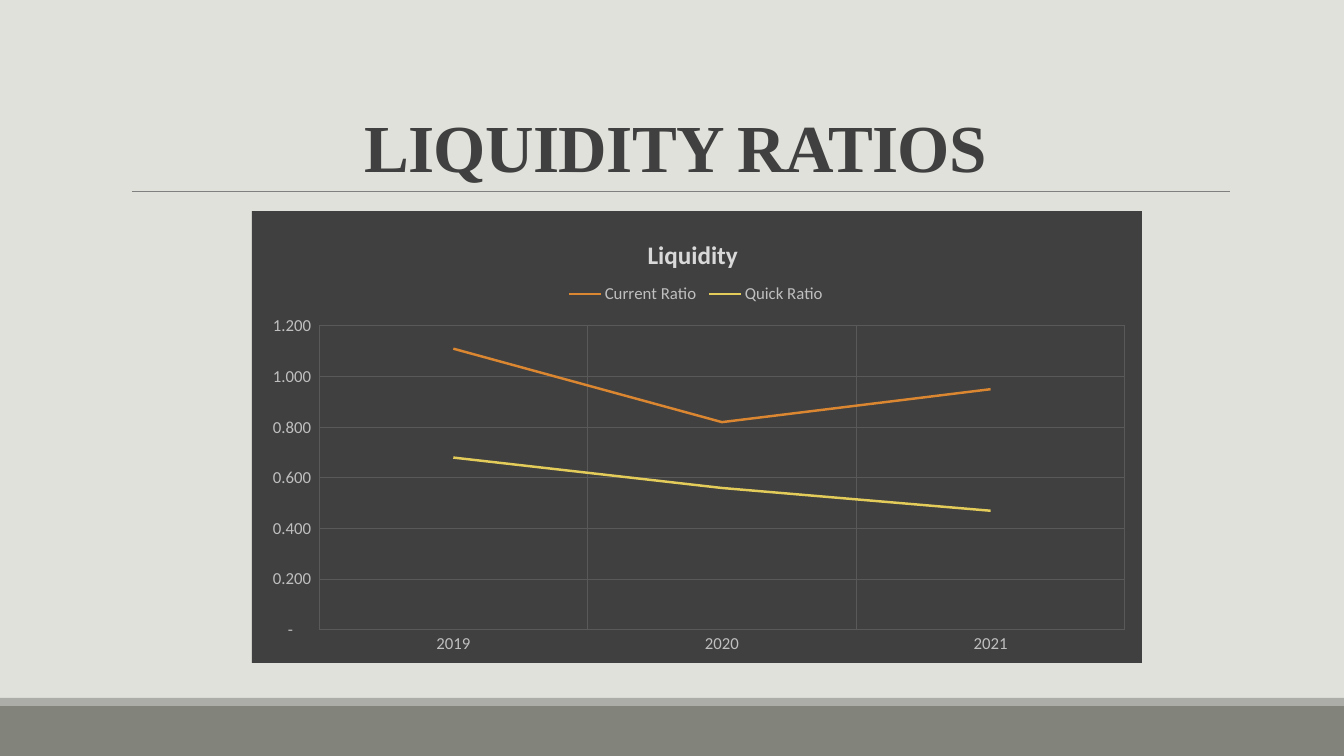
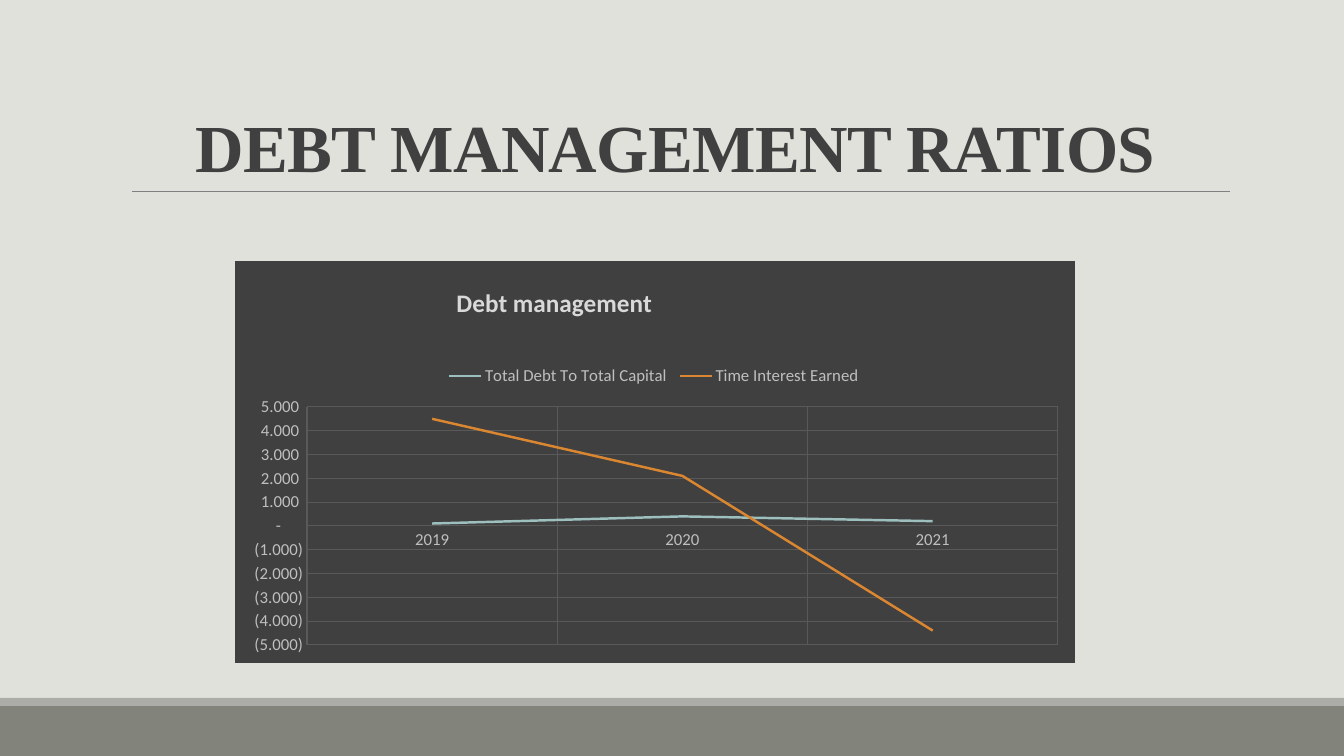
import pptx
import pptx.chart.data
import pptx.dml.color
import pptx.enum.chart
import pptx.enum.shapes
import pptx.enum.text
import pptx.oxml
import pptx.oxml.ns
import pptx.util

SCALE = 12192000 / 1344
HUES = {
    "back": "E1E1DB", "band": "82847C", "strip": "ACADA8", "rule": "808080",
    "dark": "404040", "grid": "595959", "label": "BFBFBF", "head": "D9D9D9",
    "orange": "DB8631", "yellow": "E3CC5A", "teal": "9DBFBE",
}
RGB = {name: pptx.dml.color.RGBColor.from_string(hue) for name, hue in HUES.items()}
YEARS = ["2019", "2020", "2021"]
FORMAT = '_(* #,##0.000_);_(* \\(#,##0.000\\);_(* "-"??_);_(@_)'
NS = pptx.oxml.ns.nsdecls("c", "a")

PAGES = [
    {
        "title": "LIQUIDITY RATIOS", "head": "Liquidity",
        "frame": (252, 211, 890, 452), "name": (643, 233),
        "legend": (562, 282, 268, 24), "plot": (319, 326, 806, 304),
        "range": (0, 1.2, 0.2),
        "lines": [
            ("Current Ratio", [1.11, 0.82, 0.95], "orange"),
            ("Quick Ratio", [0.68, 0.56, 0.47], "yellow"),
        ],
    },
    {
        "title": "DEBT MANAGEMENT RATIOS", "head": "Debt management",
        "frame": (235, 261, 840, 402), "name": (452, 281),
        "legend": (442, 364, 424, 24), "plot": (307, 407, 751, 238),
        "range": (-5, 5, 1),
        "lines": [
            ("Total Debt To Total Capital", [0.1, 0.4, 0.2], "teal"),
            ("Time Interest Earned", [4.5, 2.1, -4.4], "orange"),
        ],
    },
]


def px(*sizes):
    return [pptx.util.Emu(round(size * SCALE)) for size in sizes]


def place(node, spot, box, frame):
    for old in node.findall(pptx.oxml.ns.qn("c:layout")):
        node.remove(old)
    left, top, wide, high = frame
    parts = [(box[0] - left) / wide, (box[1] - top) / high]
    parts += [size / full for size, full in zip(box[2:], (wide, high))]
    inner = '<c:layoutTarget val="inner"/>' if spot == 0 else ""
    modes = '<c:xMode val="edge"/><c:yMode val="edge"/>'
    vals = "".join(f'<c:{key} val="{part:.4f}"/>' for key, part in zip("xywh", parts))
    node.insert(spot, pptx.oxml.parse_xml(
        f"<c:layout {NS}><c:manualLayout>{inner}{modes}{vals}</c:manualLayout></c:layout>"))


deck = pptx.Presentation()
deck.slide_width, deck.slide_height = px(1344, 756)
layout = deck.slide_layouts[5]
layout.background.fill.solid()
layout.background.fill.fore_color.rgb = RGB["back"]
slides = [deck.slides.add_slide(layout) for page in PAGES]

shapes = slides[0].shapes
decor = []
for top, high, hue in [(706, 50, "band"), (698, 8, "strip")]:
    band = shapes.add_shape(pptx.enum.shapes.MSO_SHAPE.RECTANGLE, *px(0, top, 1344, high))
    band.shadow.inherit = False
    band.fill.solid()
    band.fill.fore_color.rgb = RGB[hue]
    band.line.fill.background()
    decor.append(band)
rule = shapes.add_connector(pptx.enum.shapes.MSO_CONNECTOR.STRAIGHT, *px(132, 191, 1230, 191))
rule.line.color.rgb = RGB["rule"]
rule.line.width = pptx.util.Pt(0.5)
rule.element.spPr.append(pptx.oxml.parse_xml(f"<a:effectLst {NS}/>"))
decor.append(rule)
for part in decor:
    layout.shapes.element.append(part.element)

for slide, page in zip(slides, PAGES):
    title = slide.shapes.title
    title.left, title.top, title.width, title.height = px(121, 31, 1109, 160)
    text = title.text_frame
    text.text = page["title"]
    text.word_wrap = True
    text.auto_size = pptx.enum.text.MSO_AUTO_SIZE.NONE
    text.vertical_anchor = pptx.enum.text.MSO_ANCHOR.BOTTOM
    para = text.paragraphs[0]
    para.alignment = pptx.enum.text.PP_ALIGN.CENTER
    para.line_spacing = 0.85
    para.font.name = "Times New Roman"
    para.font.size = pptx.util.Pt(48)
    para.font.bold = True
    para.font.color.rgb = RGB["dark"]
    para.font._rPr.set("spc", "-50")

    data = pptx.chart.data.CategoryChartData(number_format="0.00")
    data.categories = YEARS
    for name, vals, hue in page["lines"]:
        data.add_series(name, vals)
    frame = page["frame"]
    chart = slide.shapes.add_chart(
        pptx.enum.chart.XL_CHART_TYPE.LINE, *px(*frame), data).chart
    chart.font.name = "Calibri"
    chart.font.size = pptx.util.Pt(12)
    chart.font.color.rgb = RGB["label"]
    root = chart.element
    root.chart.addnext(pptx.oxml.parse_xml(
        f'<c:spPr {NS}><a:solidFill><a:srgbClr val="{HUES["dark"]}"/></a:solidFill>'
        "<a:ln><a:noFill/></a:ln></c:spPr>"))

    chart.has_title = True
    head = chart.chart_title
    head.include_in_layout = False
    head.text_frame.text = page["head"]
    font = head.text_frame.paragraphs[0].font
    font.name = "Calibri"
    font.size = pptx.util.Pt(18)
    font.bold = True
    font.color.rgb = RGB["head"]
    chart.has_legend = True
    chart.legend.position = pptx.enum.chart.XL_LEGEND_POSITION.TOP
    chart.legend.include_in_layout = False
    legend = root.chart.find(pptx.oxml.ns.qn("c:legend"))
    place(root.chart.find(pptx.oxml.ns.qn("c:title")), 1, page["name"], frame)
    place(legend, 1, page["legend"], frame)
    place(root.chart.plotArea, 0, page["plot"], frame)

    for axis in (chart.category_axis, chart.value_axis):
        axis.major_tick_mark = pptx.enum.chart.XL_TICK_MARK.NONE
        axis.format.line.fill.background()
        axis.has_major_gridlines = True
        grid = axis.major_gridlines.format.line
        grid.color.rgb = RGB["grid"]
        grid.width = pptx.util.Pt(0.75)
    axis = chart.value_axis
    axis.minimum_scale, axis.maximum_scale, axis.major_unit = page["range"]
    axis.tick_labels.number_format = FORMAT
    axis.tick_labels.number_format_is_linked = False

    chart.plots[0].vary_by_categories = False
    for line, (name, vals, hue) in zip(chart.plots[0].series, page["lines"]):
        line.smooth = False
        line.marker.style = pptx.enum.chart.XL_MARKER_STYLE.NONE
        line.format.line.color.rgb = RGB[hue]
        line.format.line.width = pptx.util.Pt(1.75)

deck.save("out.pptx")
